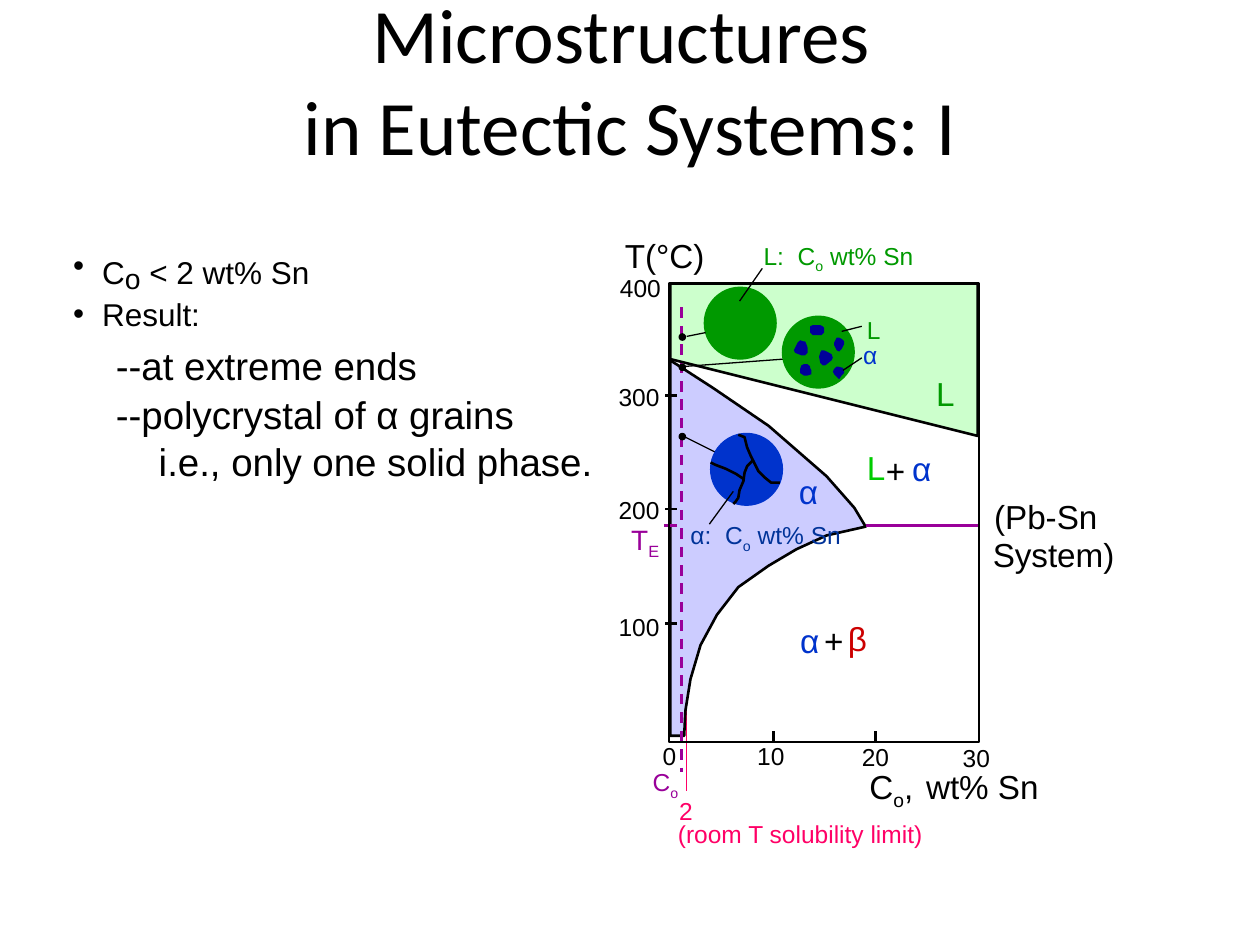
from lxml.etree import SubElement
from pptx import Presentation
from pptx.dml.color import RGBColor
from pptx.enum.dml import MSO_LINE_DASH_STYLE as Dash
from pptx.enum.shapes import MSO_CONNECTOR as Connector, MSO_SHAPE as Preset
from pptx.enum.text import MSO_ANCHOR as Anchor, MSO_AUTO_SIZE as AutoSize, PP_ALIGN as Align
from pptx.oxml.ns import qn
from pptx.util import Pt

PX = 9144  # EMU per px, 100 px to the inch
BLACK = RGBColor(0x00, 0x00, 0x00)
PURPLE = RGBColor(0x99, 0x00, 0x99)
PINK = RGBColor(0xFF, 0x00, 0x66)
RED = RGBColor(0xCC, 0x00, 0x00)
GREEN = RGBColor(0x00, 0x99, 0x00)
BRIGHT_GREEN = RGBColor(0x00, 0xCC, 0x00)
PALE_GREEN = RGBColor(0xCC, 0xFF, 0xCC)
BLUE = RGBColor(0x00, 0x33, 0xCC)
DEEP_BLUE = RGBColor(0x00, 0x33, 0x99)
NAVY = RGBColor(0x00, 0x00, 0x99)
LILAC = RGBColor(0xCC, 0xCC, 0xFF)
THIN, THICK = 0.75, 1.5
SUB = -25


class SlideBuilder:
    """Holds the slide, the group being filled and the common font."""

    def __init__(self, slide, font="Arial"):
        self.slide = slide
        self.font = font
        self.shapes = slide.shapes

    def start_group(self):
        self.shapes = self.slide.shapes.add_group_shape().shapes

    def place(self, shape, *box):
        for name, length in zip(("left", "top", "width", "height"), box):
            setattr(shape, name, length * PX)

    def run(self, paragraph, text, size, color=BLACK, baseline=0, font=None):
        run = paragraph.add_run()
        run.text = text
        for name, value in {"size": Pt(size), "name": font or self.font}.items():
            setattr(run.font, name, value)
        run.font.color.rgb = color
        if baseline:
            run._r.get_or_add_rPr().set("baseline", str(baseline * 1000))

    def frame(self, shape, **values):
        frame = shape.text_frame
        margins = dict.fromkeys(
            ("margin_left", "margin_top", "margin_right", "margin_bottom"), 0)
        for name, value in {**margins, **values}.items():
            setattr(frame, name, value)
        return frame

    def title(self, box, lines, size):
        shape = self.slide.shapes.title
        self.place(shape, *box)
        frame = self.frame(shape, vertical_anchor=Anchor.MIDDLE, auto_size=AutoSize.NONE)
        paragraph = frame.paragraphs[0]
        paragraph.alignment = Align.CENTER
        for index, line in enumerate(lines):
            if index:
                paragraph.add_line_break()
            self.run(paragraph, line, size, font="Calibri")

    def body(self, box, items):
        """Items are (margin, has bullet, space before, runs)."""
        shape = self.slide.placeholders[1]
        self.place(shape, *box)
        frame = self.frame(shape, auto_size=AutoSize.NONE)
        for index, (margin, bullet, space, runs) in enumerate(items):
            paragraph = frame.add_paragraph() if index else frame.paragraphs[0]
            properties = paragraph._p.get_or_add_pPr()
            properties.set("marL", str(margin * PX))
            properties.set("indent", str(-margin * PX if bullet else 0))
            if not bullet:
                SubElement(properties, qn("a:buNone"))
            paragraph.space_before = Pt(space)
            for run in runs:
                self.run(paragraph, *run)

    def label(self, left, top, width, text, size=14, color=BLACK):
        """Text is a string, or a list of strings whose second one is a subscript."""
        box = self.shapes.add_textbox(left * PX, top * PX, width * PX, Pt(size * 1.2))
        frame = self.frame(box, word_wrap=False, auto_size=AutoSize.SHAPE_TO_FIT_TEXT)
        parts = [text] if isinstance(text, str) else text
        for part, baseline in zip(parts, (0, SUB, 0)):
            self.run(frame.paragraphs[0], part, size, color, baseline)

    def line(self, x1, y1, x2, y2, color=BLACK, width=THIN, dash=None):
        line = self.shapes.add_connector(
            Connector.STRAIGHT, x1 * PX, y1 * PX, x2 * PX, y2 * PX)
        line.line.color.rgb = color
        line.line.width = Pt(width)
        line.line.dash_style = dash
        SubElement(line._element.spPr, qn("a:effectLst"))

    def paint(self, shape, fill, color, width):
        shape.shadow.inherit = False
        if fill is None:
            shape.fill.background()
        else:
            shape.fill.solid()
            shape.fill.fore_color.rgb = fill
        if color is None:
            shape.line.fill.background()
        else:
            shape.line.color.rgb = color
            shape.line.width = Pt(width)

    def preset(self, kind, left, top, width, height, fill=None, color=BLACK, line_width=THIN):
        shape = self.shapes.add_shape(kind, left * PX, top * PX, width * PX, height * PX)
        self.paint(shape, fill, color, line_width)

    def disc(self, left, top, size, color):
        self.preset(Preset.OVAL, left, top, size, size, color, color)

    def outline(self, points, fill=None, color=None):
        """Closed when filled, otherwise an open stroke."""
        builder = self.shapes.build_freeform(*points[0], scale=PX)
        builder.add_line_segments(points[1:], close=fill is not None)
        self.paint(builder.convert_to_shape(), fill, color, THICK)


ALPHA_REGION = [
    (532, 286), (566, 308), (610, 338), (656, 378), (678, 403), (687, 418), (656, 425),
    (632, 436), (610, 449), (586, 466), (569, 488), (556, 512), (548, 539), (544, 564),
    (543, 584), (532, 584)]
LIQUID_REGION = [(532, 285), (532, 225), (776, 225), (776, 346)]
ALPHA_PARTICLES = [
    [(649, 258), (645, 258), (643, 259), (643, 264), (645, 266), (652, 266), (654, 264),
     (654, 260), (653, 259), (651, 258)],
    [(664, 268), (662, 272), (662, 274), (664, 278), (666, 279), (668, 277), (670, 273),
     (670, 271), (668, 269), (666, 268)],
    [(656, 279), (654, 278), (652, 278), (651, 280), (650, 283), (651, 288), (653, 290),
     (655, 290), (660, 286), (661, 284), (660, 281)],
    [(669, 292), (665, 291), (664, 291), (662, 293), (661, 295), (662, 297), (663, 298),
     (666, 301), (668, 298), (670, 296), (670, 294)],
    [(643, 291), (641, 289), (638, 289), (636, 290), (635, 293), (635, 296), (638, 298),
     (641, 298), (644, 297), (644, 294), (643, 292)],
    [(638, 271), (635, 270), (633, 272), (631, 276), (630, 278), (631, 280), (636, 282),
     (639, 282), (641, 280), (641, 276), (640, 273), (639, 271)]]
GRAIN_BOUNDARIES = [
    [(586, 345), (591, 347), (593, 355), (596, 362), (599, 368), (602, 374), (607, 379),
     (612, 383), (619, 383)],
    [(598, 365), (595, 368), (593, 370), (591, 375), (590, 382), (587, 389), (586, 395),
     (584, 398), (582, 400)],
    [(564, 367), (568, 369), (576, 372), (584, 376), (587, 378), (590, 380), (590, 382)]]
DIAGRAM_LABELS = [
    (688, 355, 15, "L", 19, BRIGHT_GREEN), (703, 357, 15, "+", 19), (724, 356, 17, "α", 19, BLUE),
    (743, 296, 15, "L", 19, GREEN), (634, 374, 17, "α", 19, BLUE),
    (635, 492, 17, "α", 19, BLUE), (654, 492, 15, "+", 19), (673, 491, 15, "β", 19, RED),
    (496, 187, 65, "T(°C)", 19), (690, 608, 38, ["C", "o", ","], 19), (735, 608, 90, "wt% Sn", 19),
    (491, 303, 33, "300"), (491, 393, 33, "200"), (491, 486, 33, "100"), (492, 217, 33, "400"),
    (526, 588, 11, "0"), (601, 588, 22, "10"), (684, 589, 22, "20"), (764, 590, 22, "30"),
    (518, 609, 22, ["C", "o"], 14, PURPLE), (501, 415, 24, ["T", "E"], 16, PURPLE),
    (539, 632, 11, "2", 14, PINK), (538, 650, 195, "(room T solubility limit)", 14, PINK),
    (789, 394, 82, "(Pb-Sn", 19), (788, 424, 97, "System)", 19)]


def draw_phase_diagram(builder):
    builder.start_group()
    builder.line(545, 563, 545, 628, PINK)
    builder.outline(ALPHA_REGION, LILAC, BLACK)
    builder.outline(LIQUID_REGION, PALE_GREEN, BLACK)
    for x in (614, 695):
        builder.line(x, 589, x, 580, width=THICK)
    for y in (314, 404, 495):
        builder.line(528, y, 537, y, width=THICK)
    for x1, x2 in ((687, 777), (527, 537)):
        builder.line(x1, 417, x2, 417, PURPLE, THICK)
    builder.preset(Preset.RECTANGLE, 531, 225, 246, 364, line_width=THICK)
    for label in DIAGRAM_LABELS:
        builder.label(*label)
    builder.line(541, 244, 541, 613, PURPLE, THICK, Dash.DASH)


def draw_microstructures(builder):
    builder.start_group()
    builder.label(685, 270, 12, "α", color=BLUE)
    builder.line(541, 291, 622, 285)
    builder.label(688, 250, 11, "L", color=GREEN)
    builder.disc(621, 251, 57, GREEN)
    for particle in ALPHA_PARTICLES:
        builder.outline(particle, NAVY)
    builder.line(668, 263, 684, 259)
    builder.line(669, 294, 684, 284)
    builder.disc(539, 289, 5, BLACK)

    builder.start_group()
    builder.disc(559, 228, 57, GREEN)
    builder.label(606, 191, 119, ["L:  C", "o", " wt% Sn"], color=GREEN)
    builder.line(545, 267, 560, 264)
    builder.line(587, 239, 605, 213)
    builder.disc(539, 265, 5, BLACK)

    builder.start_group()
    builder.label(548, 413, 121, ["α:  C", "o", " wt% Sn"], color=DEEP_BLUE)
    builder.line(540, 345, 568, 359)
    builder.disc(564, 344, 57, BLUE)
    for boundary in GRAIN_BOUNDARIES:
        builder.outline(boundary, color=BLACK)
    builder.line(563, 416, 582, 390)
    builder.disc(539, 344, 5, BLACK)


def main():
    presentation = Presentation()
    presentation.slide_width, presentation.slide_height = 1000 * PX, 750 * PX
    builder = SlideBuilder(presentation.slides.add_slide(presentation.slide_layouts[1]))
    builder.title((75, 0, 850, 125), ["Microstructures ", "in Eutectic Systems: I"], 44)
    builder.body((58, 187, 442, 197), [
        (23, True, 0, [("C", 18), ("o", 28, BLACK, -10), (" < 2 wt% Sn", 18)]),
        (23, True, 0, [("Result:", 18)]),
        (34, False, 5, [("--at extreme ends", 22)]),
        (34, False, 2, [("--polycrystal of α grains", 22)]),
        (68, False, 0, [("i.e., only one solid phase.", 22)])])
    draw_phase_diagram(builder)
    draw_microstructures(builder)
    presentation.save("out.pptx")


if __name__ == "__main__":
    main()
